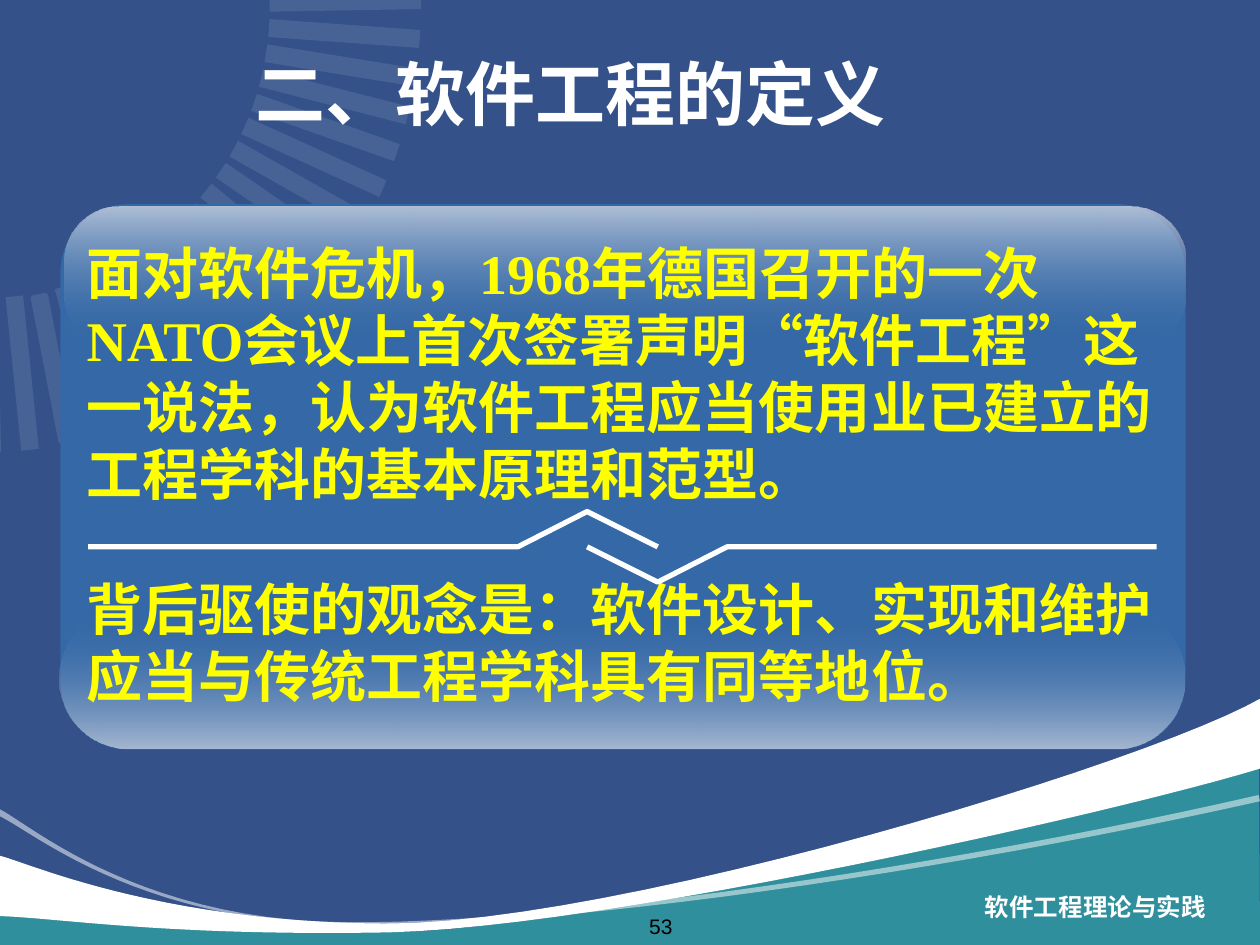
import math

import pptx
import pptx.dml.color
import pptx.enum.lang
import pptx.enum.shapes
import pptx.enum.text
import pptx.oxml
import pptx.oxml.ns
import pptx.util

Inches = pptx.util.Inches
Pt = pptx.util.Pt
RGBColor = pptx.dml.color.RGBColor
SHAPE = pptx.enum.shapes.MSO_SHAPE
ALIGN = pptx.enum.text.PP_ALIGN
ANCHOR = pptx.enum.text.MSO_ANCHOR
CHINESE = pptx.enum.lang.MSO_LANGUAGE_ID.SIMPLIFIED_CHINESE
qn = pptx.oxml.ns.qn

NAVY = RGBColor(0x34, 0x51, 0x8A)
TEAL = RGBColor(0x30, 0x8F, 0x9C)
BLUE = RGBColor(0x34, 0x68, 0xA6)
PALE = RGBColor(0xCC, 0xD2, 0xE0)
MIST = RGBColor(0xD7, 0xDC, 0xE6)
SPOKE = RGBColor(0xF8, 0xF8, 0xF8)
WHITE = RGBColor(0xFF, 0xFF, 0xFF)
YELLOW = RGBColor(0xFF, 0xFF, 0x00)
BLACK = RGBColor(0, 0, 0)

# Waves: a pair is a corner, a triple of pairs is a Bezier curve
WAVES = [
    (TEAL, 100, [(-0.01, 7.5), (10, 7.53), (9.99, 5.6),
                 ((9.12, 6.12), (4.88, 7.41), (3.05, 7.4)),
                 ((1.21, 7.39), (0.19, 6.9), (-0.02, 6.85)), (-0.02, 7.35)]),
    (WHITE, 100, [(0, 7.27), ((0.51, 7.29), (1.33, 7.43), (3.08, 7.4)),
                  ((4.82, 7.36), (8.85, 6.45), (10, 6.1)), (10.01, 5.54),
                  ((9.13, 6.05), (4.89, 7.34), (3.05, 7.33)),
                  ((1.22, 7.32), (0.19, 6.83), (-0.01, 6.79)), (-0.01, 7.29)]),
    (WHITE, 50, [(-0.03, 6.41), ((0.17, 6.48), (1.02, 7.3), (2.72, 7.32)),
                 ((4.42, 7.34), (7.55, 6.87), (9.99, 6.31)), (10, 6.36),
                 ((7.5, 6.92), (4.4, 7.38), (2.72, 7.34)),
                 ((1.05, 7.31), (0.24, 6.58), (-0.02, 6.47))]),
]


def fade(shape, alphas):
    """Give each colour of the fill its opacity in percent."""
    for tint, alpha in zip(shape._element.iter(qn("a:srgbClr")), alphas):
        node = pptx.oxml.parse_xml(
            f'<a:alpha {pptx.oxml.ns.nsdecls("a")} val="{alpha * 1000}"/>')
        tint.append(node)


def paint(shape, color, alpha=100):
    shape.shadow.inherit = False
    shape.line.fill.background()
    shape.fill.solid()
    shape.fill.fore_color.rgb = color
    if alpha < 100:
        fade(shape, [alpha])


def trace(slide, points, close=True):
    dots = [(Inches(x), Inches(y)) for x, y in points]
    pen = slide.shapes.build_freeform(*dots[0])
    pen.add_line_segments(dots[1:], close=close)
    return pen.convert_to_shape()


def bend(parts, steps=24):
    """Turn corners and curves into a row of points."""
    points = [parts[0]]
    for part in parts[1:]:
        if len(part) == 2:
            points.append(part)
            continue
        knots = [points[-1], *part]
        for i in range(1, steps + 1):
            t = i / steps
            mix = [math.comb(3, k) * t ** k * (1 - t) ** (3 - k) for k in range(4)]
            points.append(tuple(sum(m * knot[axis] for m, knot in zip(mix, knots))
                                for axis in (0, 1)))
    return points


def add_waves(slide):
    for color, alpha, parts in WAVES:
        paint(trace(slide, bend(parts)), color, alpha)


def add_wheel(slide, hub_x, hub_y, inner, outer, thick, tall):
    """Spokes every five degrees, with a gap in the middle."""
    half = thick / 2
    for step in [*range(10), *range(15, 19)]:
        angle = 5 * step - 0.95
        turn = math.radians(angle)
        cos, sin = math.cos(turn), math.sin(turn)
        if step == 16:  # the one spoke with round ends
            mid, size = (inner + outer) / 2, outer - inner
            spoke = slide.shapes.add_shape(
                SHAPE.ROUNDED_RECTANGLE,
                Inches(hub_x + mid * cos - half),
                Inches(hub_y + tall * mid * sin - size / 2),
                Inches(thick), Inches(size))
            spoke.rotation = angle - 90
        else:
            ends = [(inner, -half), (outer, -half), (outer, half), (inner, half)]
            spoke = trace(slide, [(hub_x + r * cos - s * sin,
                                   hub_y + tall * (r * sin + s * cos))
                                  for r, s in ends])
        paint(spoke, SPOKE, 10)


def style(para, font, size, color, bold=True, align=ALIGN.LEFT):
    para.alignment = align
    para.font.name = font
    para.font.size = Pt(size)
    para.font.bold = bold
    para.font.color.rgb = color
    para.font.language_id = CHINESE


def add_text(slide, box, lines, font, size, color, anchor=ANCHOR.TOP, gap=0, **look):
    frame = slide.shapes.add_textbox(*map(Inches, box)).text_frame
    frame.word_wrap = True
    frame.vertical_anchor = anchor
    frame.text = "\n".join(lines)
    for i, para in enumerate(frame.paragraphs):
        if i:
            para.space_before = Pt(gap)
        style(para, font, size, color, **look)


def add_title(slide, box, text):
    title = slide.shapes.title
    title.left, title.top, title.width, title.height = map(Inches, box)
    title.text_frame.text = text
    title.text_frame.vertical_anchor = ANCHOR.MIDDLE
    style(title.text_frame.paragraphs[0], "Courier New", 40, WHITE)


def add_round(slide, box, bend_by):
    shape = slide.shapes.add_shape(SHAPE.ROUNDED_RECTANGLE, *map(Inches, box))
    shape.adjustments[0] = bend_by
    paint(shape, BLUE)
    return shape


def add_glow(slide, box, bend_by, colors, alphas):
    shape = add_round(slide, box, bend_by)
    shape.fill.gradient()
    shape.fill.gradient_angle = 270
    for stop, color in zip(shape.fill.gradient_stops, colors):
        stop.color.rgb = color
    fade(shape, alphas)


def add_panel(slide, left, top, width, height):
    # Glossy card
    add_round(slide, (left, top, width, height), 0.126)
    add_glow(slide, (left - 0.01, top + 3.21, width, 1.11), 0.498, (BLUE, PALE), (0, 75))
    add_glow(slide, (left + 0.03, top + 0.02, width - 0.03, 1.12), 0.387,
             (MIST, BLUE), (75, 0))

    # Statement
    add_text(slide, (left + 0.11, top + 0.22, 8.66, 3.83), [
        "面对软件危机，1968年德国召开的一次NATO会议上首次签署声明“软件工程”这一说法，"
        "认为软件工程应当使用业已建立的工程学科的基本原理和范型。",
        "背后驱使的观念是：软件设计、实现和维护应当与传统工程学科具有同等地位。",
    ], "Times New Roman", 32, YELLOW, gap=38.4)

    # Divider: two halves, each the other turned about the middle
    mid_x, mid_y = left + 4.46, top + 2.72
    for sign in (-1, 1):
        half = [(4.24, 0), (0.83, 0), (0.28, 0.28), (-0.28, 0)]
        line = trace(slide, [(mid_x + sign * x, mid_y + sign * y) for x, y in half],
                     close=False)
        line.shadow.inherit = False
        line.fill.background()
        line.line.color.rgb = WHITE
        line.line.width = Pt(3)


def main():
    deck = pptx.Presentation()
    deck.slide_width, deck.slide_height = Inches(10), Inches(7.5)
    slide = deck.slides.add_slide(deck.slide_layouts[5])
    slide.background.fill.solid()
    slide.background.fill.fore_color.rgb = NAVY

    add_waves(slide)
    add_wheel(slide, -0.12, 0.06, 2.26, 3.46, 0.14, 1.02)
    add_text(slide, (6.5, 7.06, 3.17, 0.3), ["软件工程理论与实践"], "Arial", 14, WHITE,
             ANCHOR.BOTTOM, align=ALIGN.RIGHT)
    add_title(slide, (1.93, 0.25, 7.24, 0.97), "二、软件工程的定义")
    add_panel(slide, 0.48, 1.62, 8.93, 4.33)
    add_text(slide, (4.08, 7.2, 2.33, 0.3), ["53"], "Arial", 12, BLACK,
             ANCHOR.BOTTOM, bold=False, align=ALIGN.CENTER)
    deck.save("out.pptx")


if __name__ == "__main__":
    main()
